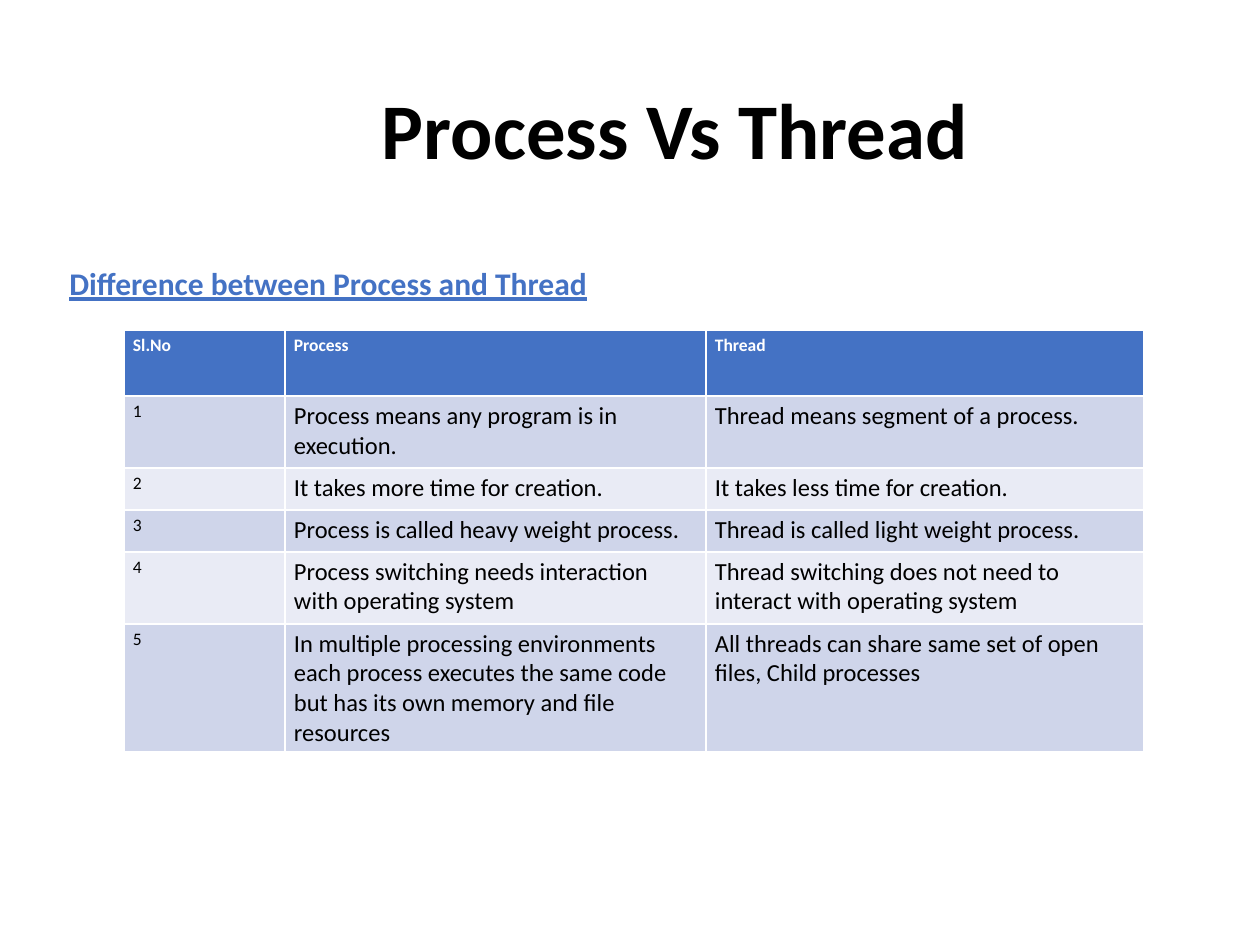
from pptx import Presentation
from pptx.dml.color import RGBColor
from pptx.enum.shapes import MSO_SHAPE
from pptx.enum.text import MSO_ANCHOR, PP_ALIGN
from pptx.util import Pt

TITLE = "Process Vs Thread"
HEADING = "Difference between Process and Thread"
ROWS = [
    ("Sl.No", "Process", "Thread"),
    ("1", "Process means any program is in execution.",
     "Thread means segment of a process."),
    ("2", "It takes more time for creation.",
     "It takes less time for creation."),
    ("3", "Process is called heavy weight process.",
     "Thread is called light weight process."),
    ("4", "Process switching needs interaction with operating system",
     "Thread switching does not need to interact with operating system"),
    ("5", "In multiple processing environments each process executes the "
     "same code but has its own memory and file resources",
     "All threads can share same set of open files, Child processes"),
]
WIDTHS = (161, 421, 438)
HEIGHTS = (66, 72, 42, 42, 72, 127)

BLUE = RGBColor(0x44, 0x72, 0xC4)
BAND = RGBColor(0xCF, 0xD5, 0xEA)
PALE = RGBColor(0xE9, 0xEB, 0xF5)
WHITE = RGBColor(0xFF, 0xFF, 0xFF)
BLACK = RGBColor(0, 0, 0)
FONT = "Calibri"
SCALE = 914400 // 126


def px(*sizes):
    """Turn px lengths into EMU."""
    return [size * SCALE for size in sizes]


def write(frame, text, size, color, bold=False):
    """Fill a text frame with one styled paragraph and return it."""
    frame.text = text
    frame.word_wrap = True
    para = frame.paragraphs[0]
    font = para.runs[0].font
    font.name, font.size, font.bold = FONT, Pt(size), bold
    font.color.rgb = color
    return para


def add_heading(slide):
    box = slide.shapes.add_textbox(*px(57, 258, 1177, 146))
    para = write(box.text_frame, HEADING, 18, BLUE, True)
    para.alignment = PP_ALIGN.JUSTIFY
    para.runs[0].font.underline = True


def add_grid(slide):
    place = px(124, 330, sum(WIDTHS), sum(HEIGHTS))
    grid = slide.shapes.add_table(len(ROWS), len(WIDTHS), *place).table
    for col, width in zip(grid.columns, px(*WIDTHS)):
        col.width = width
    for row, height in zip(grid.rows, px(*HEIGHTS)):
        row.height = height
    for r, texts in enumerate(ROWS):
        head = r == 0
        fill = BLUE if head else BAND if r % 2 else PALE
        for c, text in enumerate(texts):
            cell = grid.cell(r, c)
            cell.fill.solid()
            cell.fill.fore_color.rgb = fill
            cell.margin_left, cell.margin_right = px(9, 9)
            cell.margin_top, cell.margin_bottom = px(5, 5)
            size = 10 if head or c == 0 else 14
            write(cell.text_frame, text, size, WHITE if head else BLACK, head)


def add_title(slide):
    box = slide.shapes.add_shape(MSO_SHAPE.RECTANGLE, *px(132, 0, 1086, 183))
    box.shadow.inherit = False
    box.fill.solid()
    box.fill.fore_color.rgb = WHITE
    box.line.fill.background()
    box.text_frame.vertical_anchor = MSO_ANCHOR.BOTTOM
    para = write(box.text_frame, TITLE, 45, BLACK, True)
    para.alignment = PP_ALIGN.CENTER
    para.line_spacing = 0.9


def main():
    deck = Presentation()
    deck.slide_width, deck.slide_height = px(1260, 945)
    slide = deck.slides.add_slide(deck.slide_layouts[6])
    add_heading(slide)
    add_grid(slide)
    add_title(slide)
    deck.save("out.pptx")


if __name__ == "__main__":
    main()
